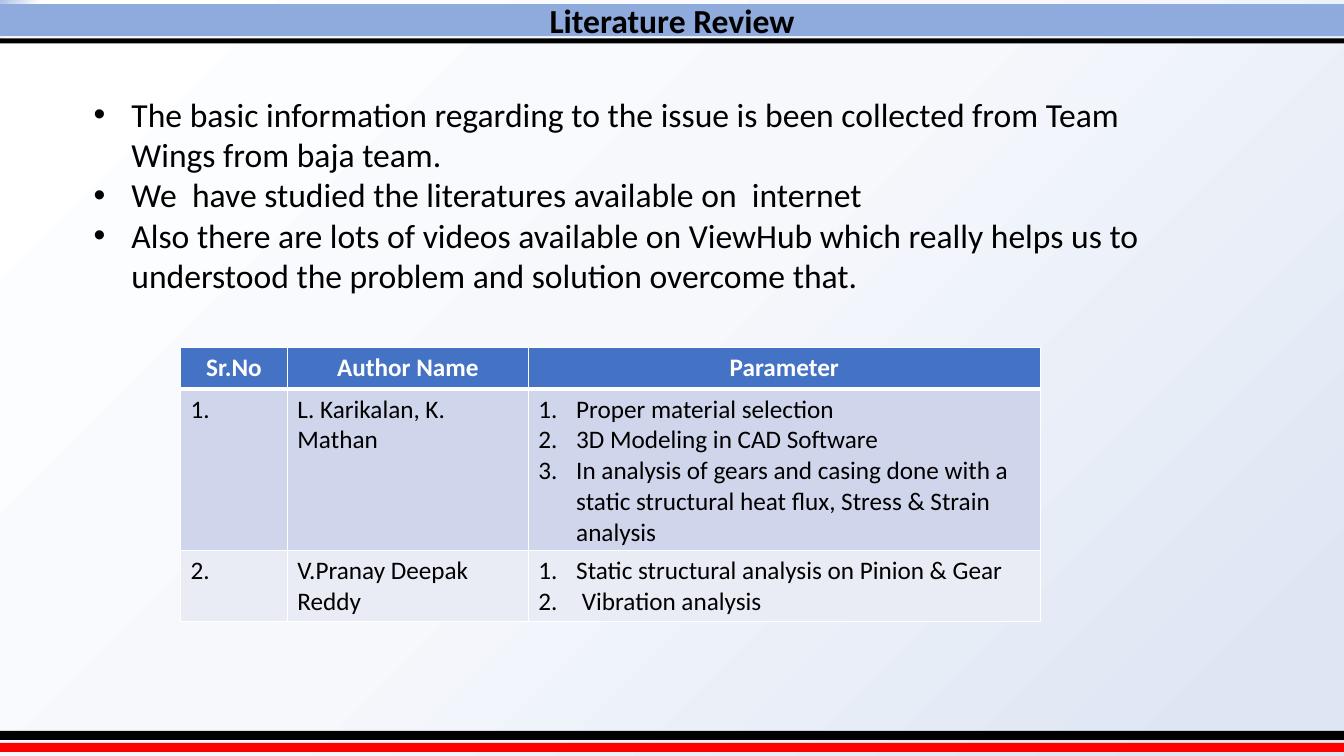
from dataclasses import dataclass

from lxml.etree import SubElement
from pptx import Presentation
from pptx.dml.color import RGBColor
from pptx.enum.shapes import MSO_SHAPE
from pptx.enum.text import MSO_ANCHOR, MSO_AUTO_SIZE, PP_ALIGN
from pptx.oxml.ns import qn
from pptx.util import Pt


@dataclass(frozen=True)
class Theme:
    """Colours, typeface and type sizes of the slide."""
    font: str = "Calibri"
    heading_size: int = 24
    table_size: int = 18
    black: str = "000000"
    white: str = "FFFFFF"
    red: str = "FF0000"
    title_bar: str = "8FAADC"
    header: str = "4472C4"
    bands: tuple = ("CFD5EA", "E9EBF5")
    backdrop: tuple = ((0, "ABC0E4"), (2, "FFFFFF"), (47, "F6F8FC"), (93, "DEE6F4"))


THEME = Theme()
SLIDE_WIDTH, SLIDE_HEIGHT = 960, 540
HANGING_INDENT = 27

FINDINGS = (
    "The basic information regarding to the issue is been collected from Team Wings from baja team.",
    "We  have studied the literatures available on  internet",
    "Also there are lots of videos available on ViewHub which really helps us to "
    "understood the problem and solution overcome that.",
)
COLUMNS = (("Sr.No", 76.3), ("Author Name", 172.1), ("Parameter", 365.8))
HEADER_HEIGHT = 29.5
STUDIES = (
    ("L. Karikalan, K. Mathan", 115,
     ("Proper material selection",
      "3D Modeling in CAD Software",
      "In analysis of gears and casing done with a static structural heat flux, "
      "Stress & Strain analysis")),
    ("V.Pranay Deepak Reddy", 51,
     ("Static structural analysis on Pinion & Gear", " Vibration analysis")),
)


def paint(target, colour):
    """Fill a shape or cell with one solid colour."""
    target.fill.solid()
    target.fill.fore_color.rgb = RGBColor.from_string(colour)


def write(frame, lines, size, colour=THEME.black, bold=False, align=PP_ALIGN.LEFT):
    """Write one paragraph per line and format its runs."""
    frame.text = "\n".join(lines)
    for paragraph in frame.paragraphs:
        paragraph.alignment = align
        for run in paragraph.runs:
            run.font.name = THEME.font
            run.font.size = Pt(size)
            run.font.bold = bold
            run.font.color.rgb = RGBColor.from_string(colour)


def add_markers(frame, tag, **attributes):
    """Give each paragraph a hanging bullet or number."""
    for paragraph in frame.paragraphs:
        properties = paragraph._p.get_or_add_pPr()
        properties.set("marL", str(Pt(HANGING_INDENT)))
        properties.set("indent", str(-Pt(HANGING_INDENT)))
        if tag == "a:buChar":
            SubElement(properties, qn("a:buFont"), typeface="Arial")
        SubElement(properties, qn(tag), **attributes)


def add_backdrop(slide):
    """Lay a diagonal gradient behind the slide."""
    fill = slide.background.fill
    fill.gradient()
    fill.gradient_angle = 315
    stops = slide._element.find(".//" + qn("a:gsLst"))
    for stop in list(stops):
        stops.remove(stop)
    for percent, colour in THEME.backdrop:
        stop = SubElement(stops, qn("a:gs"), pos=str(percent * 1000))
        SubElement(stop, qn("a:srgbClr"), val=colour)


def add_stripe(slide, top, height, colour):
    """Draw a stripe across the full slide width."""
    stripe = slide.shapes.add_shape(
        MSO_SHAPE.RECTANGLE, 0, Pt(top), Pt(SLIDE_WIDTH), Pt(height))
    stripe.shadow.inherit = False
    stripe.line.fill.background()
    paint(stripe, colour)


def add_title(slide, heading):
    """Turn the title placeholder into the coloured top bar."""
    title = slide.shapes.title
    title.left, title.top = 0, Pt(2.9)
    title.width, title.height = Pt(SLIDE_WIDTH), Pt(23)
    paint(title, THEME.title_bar)
    frame = title.text_frame
    frame.auto_size = MSO_AUTO_SIZE.NONE
    frame.vertical_anchor = MSO_ANCHOR.MIDDLE
    frame.margin_top = frame.margin_bottom = 0
    write(frame, [heading], THEME.heading_size, bold=True, align=PP_ALIGN.CENTER)


def add_findings(slide):
    """Add the bulleted findings."""
    frame = slide.shapes.add_textbox(Pt(59.8), Pt(63.4), Pt(808), Pt(152.6)).text_frame
    frame.word_wrap = True
    write(frame, FINDINGS, THEME.heading_size)
    add_markers(frame, "a:buChar", char="•")


def add_borders(cell, bottom):
    """Edge a cell in white, with its own bottom width."""
    properties = cell._tc.get_or_add_tcPr()
    widths = {"a:lnL": 1, "a:lnR": 1, "a:lnT": 1, "a:lnB": bottom}
    for position, (edge, width) in enumerate(widths.items()):
        line = SubElement(properties, qn(edge), w=str(Pt(width)))
        solid = SubElement(line, qn("a:solidFill"))
        SubElement(solid, qn("a:srgbClr"), val=THEME.white)
        properties.insert(position, line)


def fill_cell(cell, lines, fill, bottom=1, **style):
    """Write, paint and edge one table cell."""
    write(cell.text_frame, lines, THEME.table_size, **style)
    paint(cell, fill)
    add_borders(cell, bottom)


def add_studies(slide):
    """Add the table of reviewed studies."""
    heights = [HEADER_HEIGHT] + [height for _, height, _ in STUDIES]
    widths = [width for _, width in COLUMNS]
    table = slide.shapes.add_table(
        len(heights), len(widths), Pt(129), Pt(248.4),
        Pt(sum(widths)), Pt(sum(heights))).table
    for row, height in zip(table.rows, heights):
        row.height = Pt(height)
    for index, (label, width) in enumerate(COLUMNS):
        table.columns[index].width = Pt(width)
        fill_cell(table.cell(0, index), [label], THEME.header, bottom=3,
                  colour=THEME.white, bold=True, align=PP_ALIGN.CENTER)
    for number, (author, _, parameters) in enumerate(STUDIES, start=1):
        band = THEME.bands[(number - 1) % len(THEME.bands)]
        for column, lines in enumerate(([f"{number}."], [author], parameters)):
            fill_cell(table.cell(number, column), lines, band)
        add_markers(table.cell(number, 2).text_frame, "a:buAutoNum", type="arabicPeriod")


def main():
    """Build the literature review slide."""
    deck = Presentation()
    deck.slide_width, deck.slide_height = Pt(SLIDE_WIDTH), Pt(SLIDE_HEIGHT)
    slide = deck.slides.add_slide(deck.slide_layouts.get_by_name("Title Only"))
    add_backdrop(slide)
    add_stripe(slide, 522, 6.5, THEME.black)
    add_stripe(slide, 530.6, 6.5, THEME.red)
    add_stripe(slide, 27.4, 3.6, THEME.black)
    add_title(slide, "Literature Review")
    add_findings(slide)
    add_studies(slide)
    deck.save("out.pptx")


if __name__ == "__main__":
    main()
